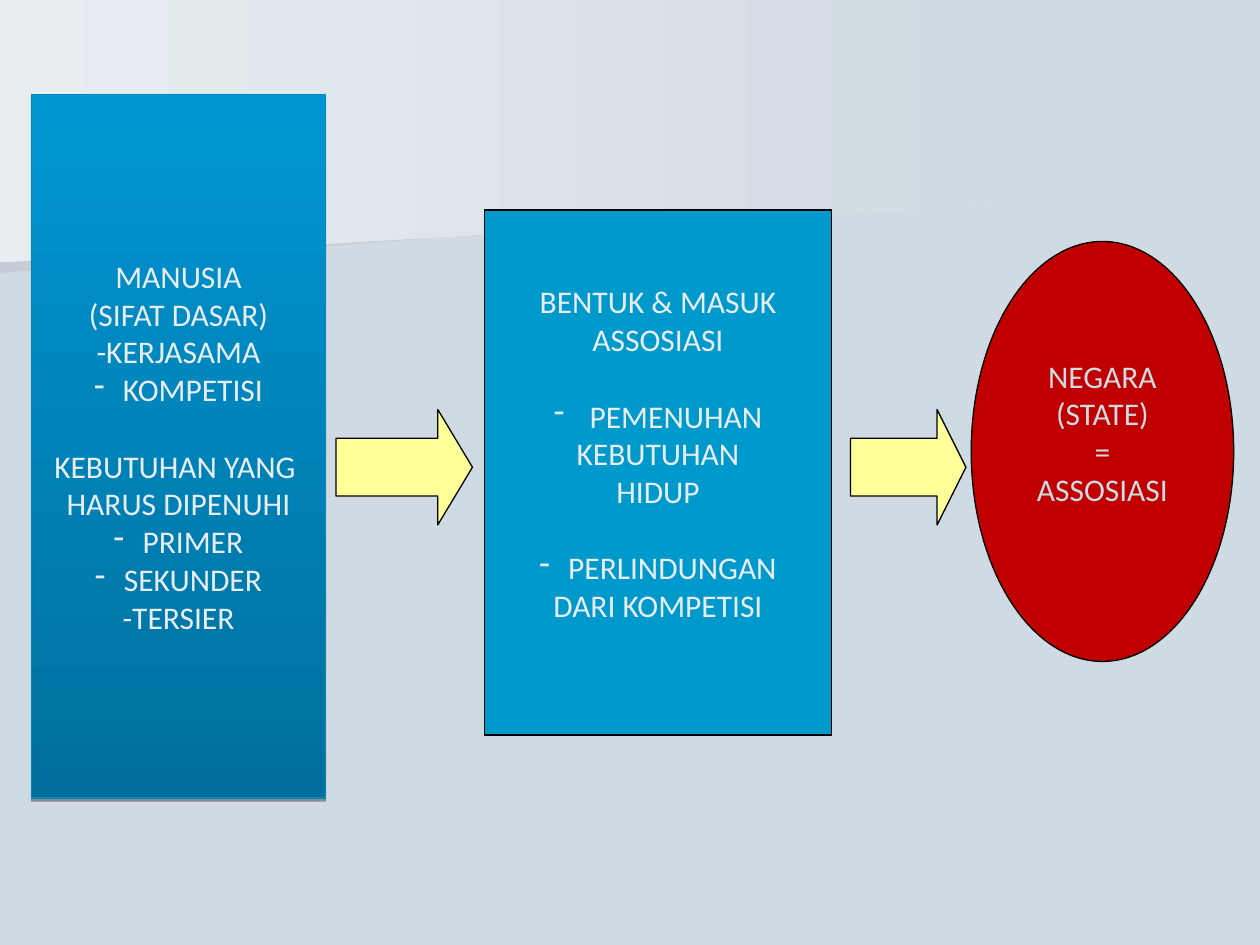
from dataclasses import dataclass

from lxml.etree import SubElement
from pptx import Presentation
from pptx.dml.color import RGBColor
from pptx.enum.shapes import MSO_SHAPE as Preset
from pptx.enum.text import MSO_ANCHOR as Anchor, PP_ALIGN as Align
from pptx.oxml.ns import qn
from pptx.util import Pt

COLORS = {
    "background": "D0DAE2",
    "pale": "E7EDF1",
    "swoosh": "C4CDD5",
    "deep_blue": "006F9D",
    "bright_blue": "0096D3",
    "blue_edge": "0089B9",
    "cyan": "0099CC",
    "red": "C00000",
    "yellow": "FFFF99",
    "black": "000000",
}
LINE_HEIGHT = 22
HANG = 16.5


@dataclass
class Line:
    text: str
    hang: float = 0
    before: float = 0


@dataclass
class Node:
    preset: Preset
    box: tuple[float, float, float, float]
    fill: tuple[str, ...]
    lines: tuple[Line, ...] = ()
    edge: str = "black"
    text_color: str = "pale"
    bottom_inset: float = 3.6
    shadow: bool = False
    adjustments: tuple[float, ...] = ()


@dataclass
class Backdrop:
    points: tuple[tuple[float, float], ...]
    fill: tuple[str, str]


BACKDROPS = (
    Backdrop(((560, 110), (0, 156), (0, 73), (561, 73), (560, 92)), ("swoosh", "background")),
    Backdrop(((570, 117), (0, 150), (0, 0), (570, 0)), ("pale", "background")),
)

NODES = (
    Node(
        Preset.RECTANGLE, (18, 54, 168, 402), ("deep_blue", "bright_blue"),
        (
            Line("MANUSIA"),
            Line("(SIFAT DASAR)"),
            Line("-KERJASAMA"),
            Line("KOMPETISI", HANG),
            Line("KEBUTUHAN YANG ", before=LINE_HEIGHT),
            Line("HARUS DIPENUHI"),
            Line("PRIMER", HANG),
            Line("SEKUNDER", HANG),
            Line("-TERSIER"),
        ),
        edge="blue_edge", shadow=True,
    ),
    Node(
        Preset.RECTANGLE, (277, 120, 198, 300), ("cyan",),
        (
            Line("BENTUK & MASUK"),
            Line("ASSOSIASI"),
            Line("PEMENUHAN", 20.5, LINE_HEIGHT),
            Line("KEBUTUHAN"),
            Line("HIDUP"),
            Line("PERLINDUNGAN", HANG, LINE_HEIGHT),
            Line("DARI KOMPETISI"),
        ),
        bottom_inset=3.6 + LINE_HEIGHT,
    ),
    Node(
        Preset.OVAL, (555, 138, 150, 240), ("red",),
        (Line("NEGARA"), Line("(STATE)"), Line("="), Line("ASSOSIASI")),
        text_color="background", bottom_inset=3.6 + LINE_HEIGHT,
    ),
    Node(Preset.RIGHT_ARROW, (192, 234, 78, 66), ("yellow",), adjustments=(0.5, 0.3)),
    Node(Preset.RIGHT_ARROW, (486, 234, 66, 66), ("yellow",), adjustments=(0.5, 0.25)),
)


def rgb(name: str) -> RGBColor:
    """Return the named colour."""
    return RGBColor.from_string(COLORS[name])


def paint(shape, colors: tuple[str, ...], angle: float = 0) -> None:
    """Fill a shape with one colour or a two-stop gradient."""
    if len(colors) == 1:
        shape.fill.solid()
        shape.fill.fore_color.rgb = rgb(colors[0])
        return
    shape.fill.gradient()
    shape.fill.gradient_angle = angle
    for stop, position, color in zip(shape.fill.gradient_stops, (0, 1), colors):
        stop.position = position
        stop.color.rgb = rgb(color)


def add_shadow(shape) -> None:
    """Give a shape a faint shadow below it."""
    effects = shape._element.spPr.find(qn("a:effectLst"))
    outer = SubElement(effects, qn("a:outerShdw"), dist=str(Pt(1.8)), dir="5400000", rotWithShape="0")
    color = SubElement(outer, qn("a:srgbClr"), val=COLORS["black"])
    SubElement(color, qn("a:alpha"), val="35000")


def add_dash(paragraph, color: str, hang: float) -> None:
    """Give a paragraph a hanging dash bullet."""
    properties = paragraph._p.get_or_add_pPr()
    properties.set("marL", str(Pt(hang)))
    properties.set("indent", str(-Pt(hang)))
    bullet_color = SubElement(properties, qn("a:buClr"))
    SubElement(bullet_color, qn("a:srgbClr"), val=COLORS[color])
    SubElement(properties, qn("a:buChar"), char="-")


def write_line(paragraph, text: str, *, color: str, hang: float = 0, before: float = 0,
               size: float = 18, font: str = "Calibri") -> None:
    """Write one centred line of text."""
    paragraph.alignment = Align.CENTER
    paragraph.space_before = Pt(before)
    if hang:
        add_dash(paragraph, color, hang)
    run = paragraph.add_run()
    run.text = text
    run.font.name = font
    run.font.size = Pt(size)
    run.font.color.rgb = rgb(color)


def draw_backdrop(slide, backdrop: Backdrop) -> None:
    """Draw one gradient outline behind the diagram."""
    start, *rest = [(Pt(x), Pt(y)) for x, y in backdrop.points]
    builder = slide.shapes.build_freeform(*start)
    builder.add_line_segments(rest, close=True)
    shape = builder.convert_to_shape()
    shape.shadow.inherit = False
    shape.line.fill.background()
    paint(shape, backdrop.fill)


def draw_node(slide, node: Node) -> None:
    """Draw one box, oval or arrow with its text."""
    shape = slide.shapes.add_shape(node.preset, *map(Pt, node.box))
    shape.shadow.inherit = False
    for index, value in enumerate(node.adjustments):
        shape.adjustments[index] = value
    paint(shape, node.fill, angle=90)
    shape.line.color.rgb = rgb(node.edge)
    shape.line.width = Pt(0.75)
    if node.shadow:
        add_shadow(shape)
    frame = shape.text_frame
    frame.word_wrap = False
    frame.vertical_anchor = Anchor.MIDDLE
    frame.margin_bottom = Pt(node.bottom_inset)
    for index, line in enumerate(node.lines):
        paragraph = frame.add_paragraph() if index else frame.paragraphs[0]
        write_line(paragraph, line.text, color=node.text_color, hang=line.hang, before=line.before)


def main() -> None:
    """Build and save the slide."""
    presentation = Presentation()
    presentation.slide_width, presentation.slide_height = Pt(720), Pt(540)
    slide = presentation.slides.add_slide(presentation.slide_layouts[6])
    slide.background.fill.solid()
    slide.background.fill.fore_color.rgb = rgb("background")
    for backdrop in BACKDROPS:
        draw_backdrop(slide, backdrop)
    for node in NODES:
        draw_node(slide, node)
    presentation.save("out.pptx")


if __name__ == "__main__":
    main()
